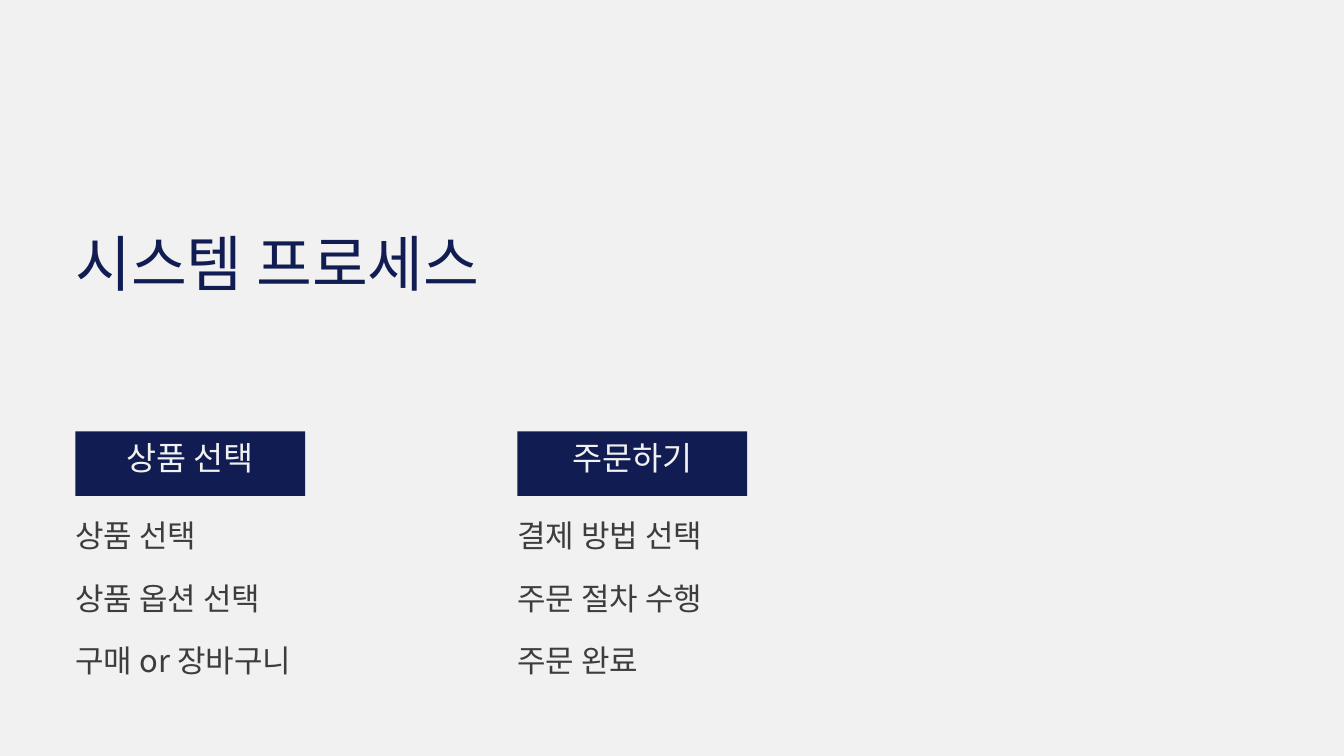
from lxml import etree
from pptx import Presentation
from pptx.dml.color import RGBColor
from pptx.enum.shapes import MSO_SHAPE
from pptx.enum.text import MSO_ANCHOR, MSO_AUTO_SIZE, PP_ALIGN
from pptx.oxml.ns import qn
from pptx.util import Inches, Pt

NAVY = RGBColor(0x10, 0x1C, 0x52)
LIGHT = RGBColor(0xF1, 0xF1, 0xF1)
GRAY = RGBColor(0x3D, 0x3D, 0x3D)
FONT = "Noto Sans CJK KR"
RECTANGLE = MSO_SHAPE.RECTANGLE
TOP, MIDDLE = MSO_ANCHOR.TOP, MSO_ANCHOR.MIDDLE
CENTER, JUSTIFY = PP_ALIGN.CENTER, PP_ALIGN.JUSTIFY
NO_AUTOFIT = MSO_AUTO_SIZE.NONE

LEFT = 1.12
COLUMN_PITCH = 6.58
STAGES = [
    ("상품 선택", ["상품 선택", "상품 옵션 선택", "구매 or 장바구니"]),
    ("주문하기", ["결제 방법 선택", "주문 절차 수행", "주문 완료"]),
]


def place(sp, left, top, width, height):
    sp.left, sp.top = Inches(left), Inches(top)
    sp.width, sp.height = Inches(width), Inches(height)


def write(sp, lines, size, color, spacing, align=JUSTIFY, anchor=TOP,
          after=0, bottom=0):
    tf = sp.text_frame
    tf.word_wrap = True
    tf.auto_size = NO_AUTOFIT
    tf.vertical_anchor = anchor
    tf.margin_left = tf.margin_right = tf.margin_top = 0
    tf.margin_bottom = Inches(bottom)
    for i, line in enumerate(lines):
        p = tf.add_paragraph() if i else tf.paragraphs[0]
        p.alignment = align
        p.line_spacing = Pt(spacing)
        p.space_before = Pt(0)
        p.space_after = Pt(after)
        pPr = p._p.get_or_add_pPr()
        pPr.set("marL", "0")
        pPr.set("indent", "0")
        etree.SubElement(pPr, qn("a:buNone"))
        r = p.add_run()
        r.text = line
        r.font.size = Pt(size)
        r.font.color.rgb = color
        r.font.name = FONT
        ea = etree.SubElement(r._r.get_or_add_rPr(), qn("a:ea"))
        ea.set("typeface", FONT)


def add_title(s, text):
    sp = s.shapes.title
    place(sp, LEFT, 3.36, 6.78, 1.08)
    write(sp, [text], 65, NAVY, 78)


def add_heading(s, left, text):
    sp = s.shapes.add_shape(RECTANGLE, Inches(left), Inches(6.42),
                            Inches(3.42), Inches(0.96))
    sp.shadow.inherit = False
    sp.fill.solid()
    sp.fill.fore_color.rgb = NAVY
    sp.line.fill.background()
    write(sp, [text], 35, LIGHT, 49, align=CENTER, anchor=MIDDLE, bottom=0.28)


def add_steps(sp, left, steps):
    place(sp, left, 7.69, 6.57, 2.42)
    write(sp, steps, 33.2, GRAY, 39.9, after=27)


def main():
    prs = Presentation()
    prs.slide_width, prs.slide_height = Inches(20), Inches(11.25)
    s = prs.slides.add_slide(prs.slide_layouts.get_by_name("Two Content"))
    s.background.fill.solid()
    s.background.fill.fore_color.rgb = LIGHT
    add_title(s, "시스템 프로세스")
    for i, (heading, steps) in enumerate(STAGES):
        left = LEFT + i * COLUMN_PITCH
        add_heading(s, left, heading)
        add_steps(s.placeholders[i + 1], left, steps)
    prs.save("out.pptx")


if __name__ == "__main__":
    main()
